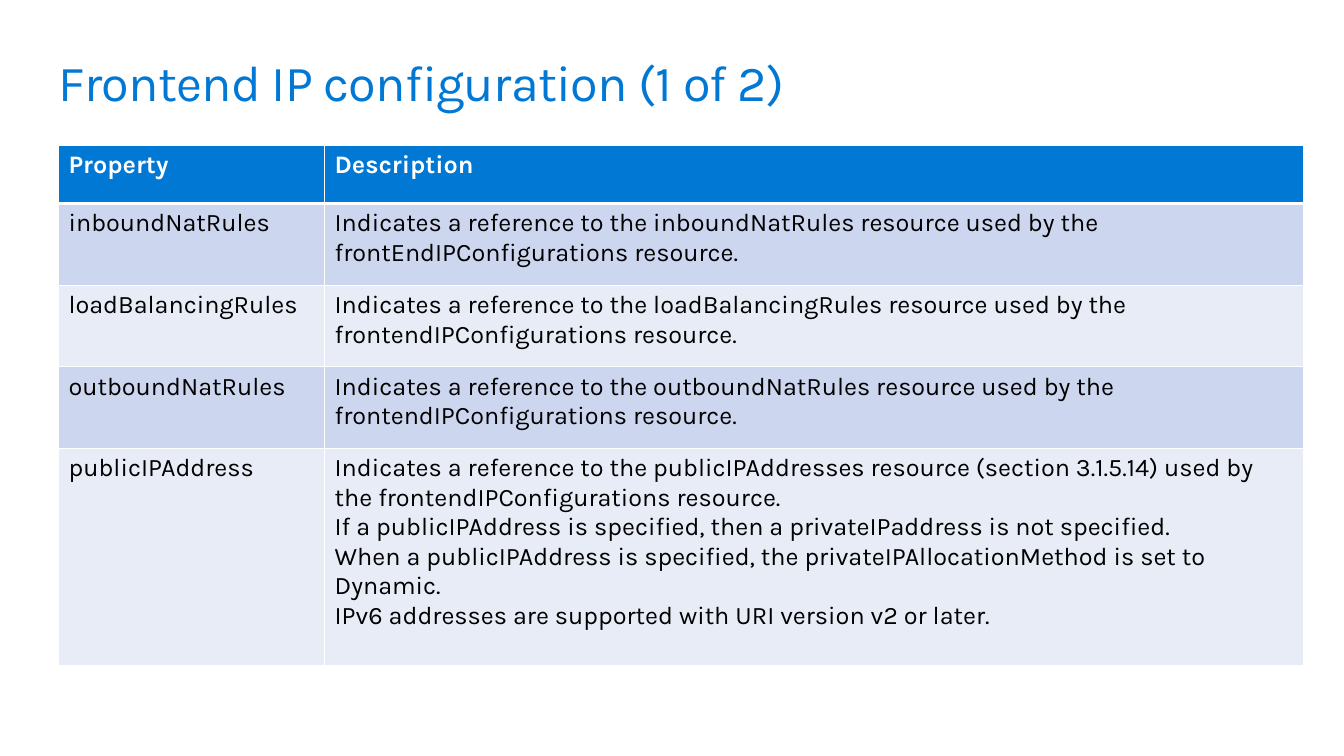
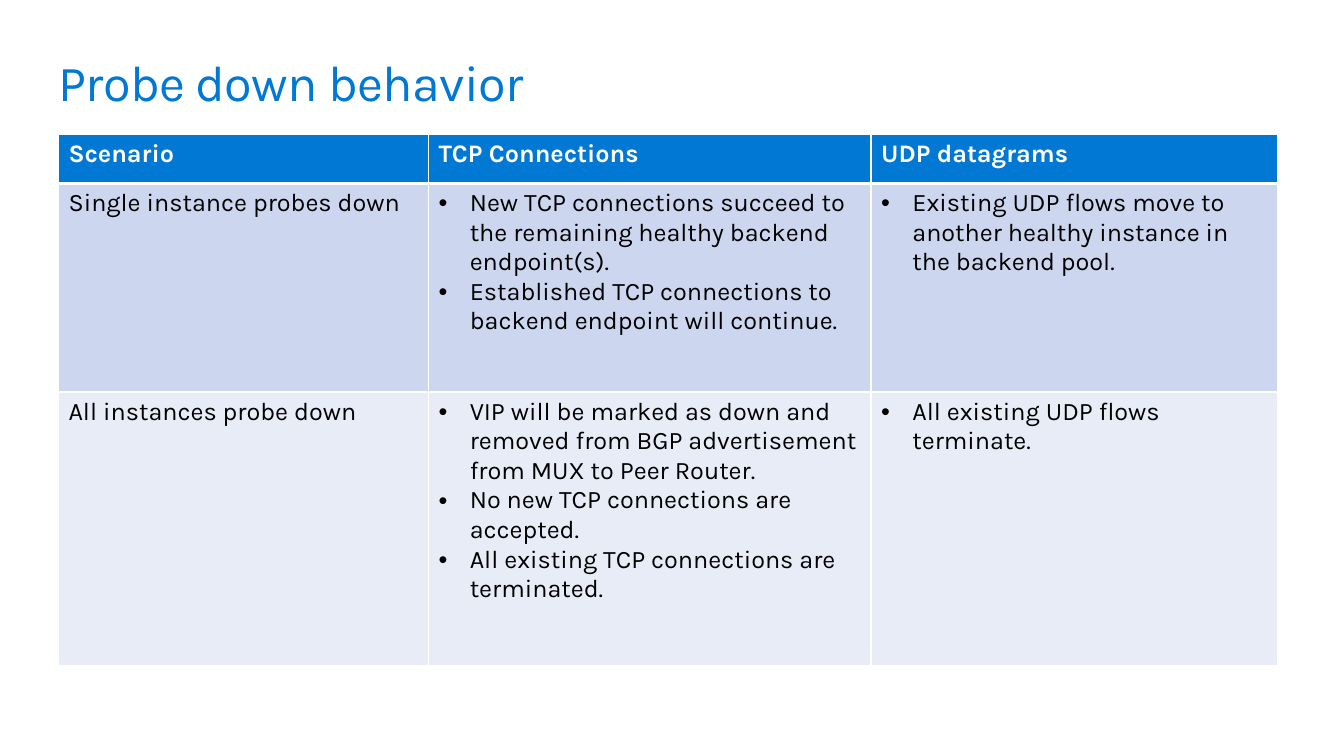
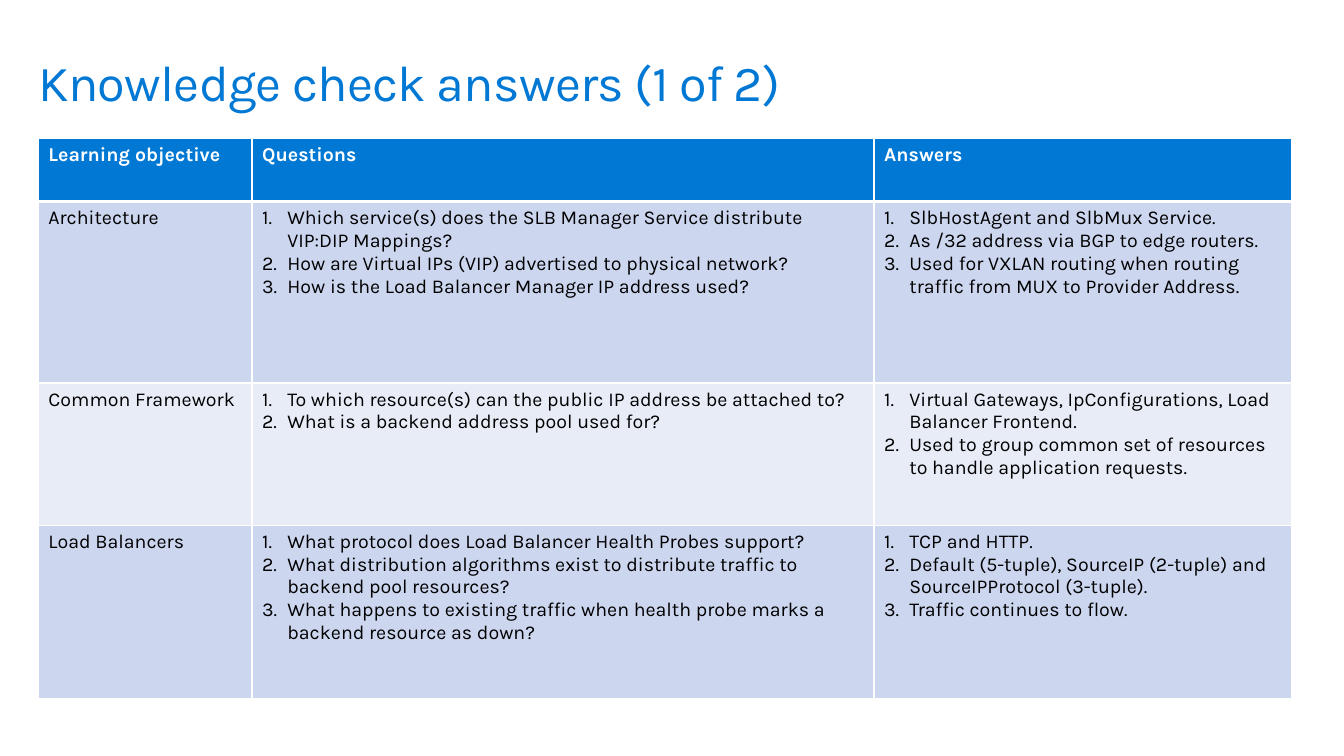
from lxml.etree import SubElement
from pptx import Presentation
from pptx.dml.color import RGBColor
from pptx.enum.text import MSO_ANCHOR
from pptx.oxml.ns import qn
from pptx.util import Pt

PX = 9144  # EMU per px, 100 px to the inch

BLUE = RGBColor(0x00, 0x78, 0xD4)
WHITE = RGBColor(0xFF, 0xFF, 0xFF)
BLACK = RGBColor(0x00, 0x00, 0x00)
BANDS = (RGBColor(0xCC, 0xD6, 0xEF), RGBColor(0xE7, 0xEC, 0xF7))
FONT = "Karla"


class Deck:
    """Holds the shared style and the current slide."""

    def __init__(self):
        self.presentation = Presentation()
        self.presentation.slide_width = 1333 * PX
        self.presentation.slide_height = 750 * PX
        self.slide = None

    def add_slide(self, title, left, width):
        self.slide = self.presentation.slides.add_slide(self.presentation.slide_layouts[6])
        box = self.slide.shapes.add_textbox(left * PX, 50 * PX, width * PX, 61 * PX)
        frame = box.text_frame
        frame.word_wrap = True
        frame.vertical_anchor = MSO_ANCHOR.BOTTOM
        frame.margin_left = frame.margin_top = frame.margin_right = frame.margin_bottom = 0
        frame.text = title
        self.format_runs(frame.paragraphs[0], 36, BLUE)
        for run in frame.paragraphs[0].runs:
            run.font._element.set("spc", "-50")

    def format_runs(self, paragraph, size, color, bold=False):
        for run in paragraph.runs:
            run.font.name = FONT
            run.font.size = Pt(size)
            run.font.color.rgb = color
            run.font.bold = bold

    def add_table(self, left, top, widths, heights, rows, size=18, indent=31, numbered=False):
        """Lay out rows; a cell given as a list becomes bulleted or numbered."""
        table = self.slide.shapes.add_table(
            len(rows), len(widths), left * PX, top * PX,
            sum(widths) * PX, sum(heights) * PX).table
        table.horz_banding = False
        for column, width in zip(table.columns, widths):
            column.width = width * PX
        for row, height in zip(table.rows, heights):
            row.height = height * PX

        for r, row in enumerate(rows):
            header = r == 0
            for c, content in enumerate(row):
                cell = table.cell(r, c)
                listed = isinstance(content, list)
                cell.text_frame.text = "\n".join(content) if listed else content
                for paragraph in cell.text_frame.paragraphs:
                    if listed:
                        self.add_marker(paragraph, indent, numbered)
                    self.format_runs(paragraph, size, WHITE if header else BLACK, header)
                # The rule below the header is thicker than the grid
                self.add_borders(cell, top=3 if r == 1 else 1, bottom=3 if header else 1)
                cell.fill.solid()
                cell.fill.fore_color.rgb = BLUE if header else BANDS[(r - 1) % 2]

    def add_marker(self, paragraph, indent, numbered):
        properties = paragraph._p.get_or_add_pPr()
        properties.set("marL", str(indent * PX))
        properties.set("indent", str(-indent * PX))
        if numbered:
            SubElement(properties, qn("a:buAutoNum"), type="arabicPeriod")
        else:
            SubElement(properties, qn("a:buFont"), typeface="Arial")
            SubElement(properties, qn("a:buChar"), char="•")

    def add_borders(self, cell, top, bottom):
        properties = cell._tc.get_or_add_tcPr()
        for side, points in (("L", 1), ("R", 1), ("T", top), ("B", bottom)):
            line = SubElement(properties, qn("a:ln" + side), w=str(Pt(points)))
            fill = SubElement(line, qn("a:solidFill"))
            SubElement(fill, qn("a:srgbClr"), val=str(WHITE))


def main():
    deck = Deck()

    # Frontend IP properties
    deck.add_slide("Frontend IP configuration (1 of 2)", 58, 1043)
    deck.add_table(58, 144, [264, 971], [58, 81, 81, 81, 215], [
        ("Property", "Description"),
        ("inboundNatRules",
         "Indicates a reference to the inboundNatRules resource used by the "
         "frontEndIPConfigurations resource."),
        ("loadBalancingRules",
         "Indicates a reference to the loadBalancingRules resource used by the "
         "frontendIPConfigurations resource."),
        ("outboundNatRules",
         "Indicates a reference to the outboundNatRules resource used by the "
         "frontendIPConfigurations resource."),
        ("publicIPAddress",
         "Indicates a reference to the publicIPAddresses resource (section 3.1.5.14) used by "
         "the frontendIPConfigurations resource.\n"
         "If a publicIPAddress is specified, then a privateIPaddress is not specified.\n"
         "When a publicIPAddress is specified, the privateIPAllocationMethod is set to Dynamic.\n"
         "IPv6 addresses are supported with URI version v2 or later."),
    ])

    # Probe scenarios
    deck.add_slide("Probe down behavior", 58, 738)
    deck.add_table(58, 133, [367, 439, 403], [49, 207, 271], [
        ("Scenario", "TCP Connections", "UDP datagrams"),
        ("Single instance probes down",
         ["New TCP connections succeed to the remaining healthy backend endpoint(s).",
          "Established TCP connections to backend endpoint will continue."],
         ["Existing UDP flows move to another healthy instance in the backend pool."]),
        ("All instances probe down",
         ["VIP will be marked as down and removed from BGP advertisement from MUX to Peer Router.",
          "No new TCP connections are accepted.",
          "All existing TCP connections are terminated."],
         ["All existing UDP flows terminate."]),
    ])

    # Questions and answers
    deck.add_slide("Knowledge check answers (1 of 2)", 38, 1230)
    deck.add_table(38, 137, [212, 617, 414], [63, 180, 141, 172], [
        ("Learning objective", "Questions", "Answers"),
        ("Architecture",
         ["Which service(s) does the SLB Manager Service distribute VIP:DIP Mappings?",
          "How are Virtual IPs (VIP) advertised to physical network?",
          "How is the Load Balancer Manager IP address used?"],
         ["SlbHostAgent and SlbMux Service.",
          "As /32 address via BGP to edge routers.",
          "Used for VXLAN routing when routing traffic from MUX to Provider Address."]),
        ("Common Framework",
         ["To which resource(s) can the public IP address be attached to?",
          "What is a backend address pool used for?"],
         ["Virtual Gateways, IpConfigurations, Load Balancer Frontend.",
          "Used to group common set of resources to handle application requests."]),
        ("Load Balancers",
         ["What protocol does Load Balancer Health Probes support?",
          "What distribution algorithms exist to distribute traffic to backend pool resources?",
          "What happens to existing traffic when health probe marks a backend resource as down?"],
         ["TCP and HTTP.",
          "Default (5-tuple), SourceIP (2-tuple) and SourceIPProtocol (3-tuple).",
          "Traffic continues to flow."]),
    ], size=14, indent=25, numbered=True)

    deck.presentation.save("out.pptx")


if __name__ == "__main__":
    main()
